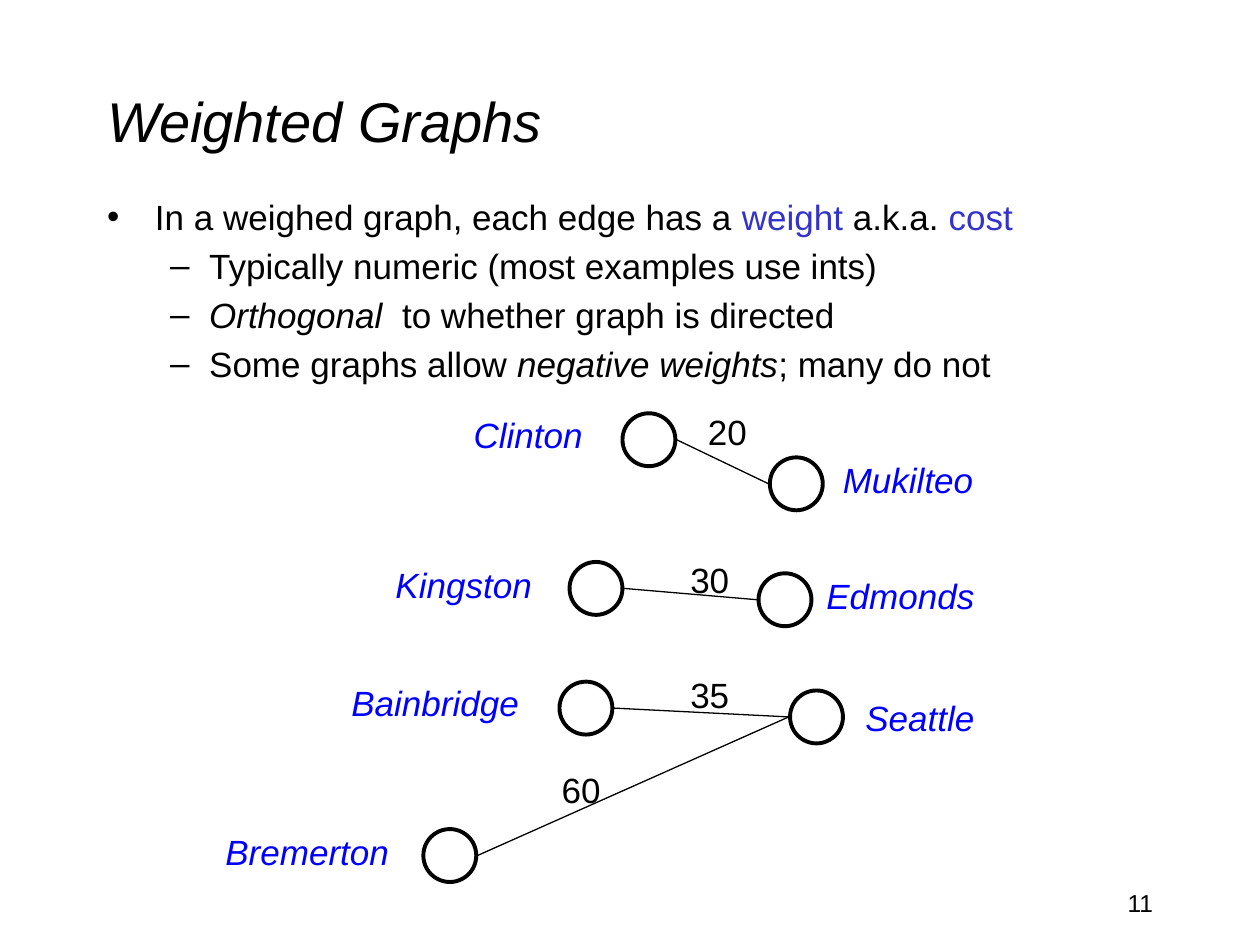
"""Build the Weighted Graphs slide with its ferry-route graph."""
import pptx
import pptx.dml.color
import pptx.enum.shapes
import pptx.enum.text
import pptx.oxml
import pptx.oxml.ns
import pptx.util
from lxml import etree

Inches = pptx.util.Inches
RGBColor = pptx.dml.color.RGBColor
ALIGN = pptx.enum.text.PP_ALIGN
ANCHOR = pptx.enum.text.MSO_ANCHOR

BLACK = RGBColor(0x00, 0x00, 0x00)
WHITE = RGBColor(0xFF, 0xFF, 0xFF)
INDIGO = RGBColor(0x33, 0x33, 0xCC)
BLUE = RGBColor(0x00, 0x00, 0xFF)

NODE_SIZE = 0.42
EDGE_GAP = 0.01
LABEL_HEIGHT = 0.44

TITLE = [("Weighted Graphs", {"italic": True})]
POINTS = [
    (0, [("In a weighed graph, each edge has a ", {}), ("weight", {"color": INDIGO}),
         (" a.k.a. ", {}), ("cost", {"color": INDIGO})]),
    (1, [("Typically numeric (most examples use ints)", {})]),
    (1, [("Orthogonal", {"italic": True}), ("  to whether graph is directed", {})]),
    (1, [("Some graphs allow ", {}), ("negative weights", {"italic": True}),
         ("; many do not", {})]),
]
BULLETS = [("•", 0.38, -0.38), ("–", 0.81, -0.31)]

TOWNS = {
    "Seattle": ((6.27, 5.48), (6.77, 5.48, 1.07)),
    "Edmonds": ((6.02, 4.55), (6.46, 4.51, 1.39)),
    "Mukilteo": ((6.11, 3.63), (6.59, 3.59, 1.25)),
    "Bainbridge": ((4.44, 5.41), (2.69, 5.36, 1.54)),
    "Kingston": ((4.52, 4.46), (3.04, 4.42, 1.29)),
    "Clinton": ((4.94, 3.28), (3.66, 3.23, 1.08)),
    "Bremerton": ((3.36, 6.58), (1.69, 6.54, 1.51)),
}
ROUTES = [
    ("Clinton", "Mukilteo", "20", (5.52, 3.21)),
    ("Kingston", "Edmonds", "30", (5.38, 4.38)),
    ("Bainbridge", "Seattle", "35", (5.38, 5.30)),
    ("Bremerton", "Seattle", "60", (4.36, 6.05)),
]


class GraphSlide:
    """Hold the text style and the slide being drawn."""

    def __init__(self, slide, font="Arial", size=20):
        self.slide = slide
        self.style = {"name": font, "size": pptx.util.Pt(size), "bold": False,
                      "italic": False}

    def add_runs(self, paragraph, runs, **changes):
        for words, emphasis in runs:
            run = paragraph.add_run()
            run.text = words
            values = {**self.style, "color": BLACK, **changes, **emphasis}
            run.font.color.rgb = values.pop("color")
            for attribute, value in values.items():
                setattr(run.font, attribute, value)

    def place(self, holder, left, top, width, height):
        bounds = {"left": left, "top": top, "width": width, "height": height}
        for side, length in bounds.items():
            setattr(holder, side, Inches(length))

    def title(self, runs, *bounds):
        heading = self.slide.shapes.title
        self.place(heading, *bounds)
        heading.text_frame.vertical_anchor = ANCHOR.MIDDLE
        paragraph = heading.text_frame.paragraphs[0]
        paragraph.alignment = ALIGN.LEFT
        self.add_runs(paragraph, runs, size=pptx.util.Pt(32))

    def points(self, items, *bounds):
        body = self.slide.placeholders[1]
        self.place(body, *bounds)
        for index, (level, runs) in enumerate(items):
            frame = body.text_frame
            paragraph = frame.add_paragraph() if index else frame.paragraphs[0]
            paragraph.level = level
            mark, margin, indent = BULLETS[level]
            properties = paragraph._p.get_or_add_pPr()
            properties.set("marL", str(Inches(margin)))
            properties.set("indent", str(Inches(indent)))
            bullet = etree.SubElement(properties, pptx.oxml.ns.qn("a:buChar"))
            bullet.set("char", mark)
            self.add_runs(paragraph, runs)

    def label(self, words, left, top, width, height=LABEL_HEIGHT, align=ALIGN.LEFT,
              wrap=False, **changes):
        box = self.slide.shapes.add_textbox(*map(Inches, (left, top, width, height)))
        box.text_frame.word_wrap = wrap
        paragraph = box.text_frame.paragraphs[0]
        paragraph.alignment = align
        self.add_runs(paragraph, [(words, {})], **changes)

    def outline(self, line, weight):
        line.color.rgb = BLACK
        line.width = pptx.util.Pt(weight)

    def node(self, left, top):
        circle = self.slide.shapes.add_shape(
            pptx.enum.shapes.MSO_SHAPE.OVAL,
            *map(Inches, (left, top, NODE_SIZE, NODE_SIZE)))
        circle.shadow.inherit = False
        circle.fill.solid()
        circle.fill.fore_color.rgb = WHITE
        self.outline(circle.line, 2.25)

    def edge(self, west, east):
        radius = NODE_SIZE / 2
        ends = (west[0] + NODE_SIZE + EDGE_GAP, west[1] + radius,
                east[0] - EDGE_GAP, east[1] + radius)
        route = self.slide.shapes.add_connector(
            pptx.enum.shapes.MSO_CONNECTOR.STRAIGHT, *map(Inches, ends))
        self.outline(route.line, 0.75)
        etree.SubElement(route._element.spPr, pptx.oxml.ns.qn("a:effectLst"))


def main():
    deck = pptx.Presentation()
    deck.slide_width, deck.slide_height = Inches(10), Inches(7.5)
    graph = GraphSlide(deck.slides.add_slide(deck.slide_layouts[1]))
    graph.title(TITLE, 0.75, 0.33, 8.5, 1.25)
    graph.points(POINTS, 0.75, 1.5, 8.5, 1.75)
    graph.label("11", 7.17, 7, 2.08, 0.5, align=ALIGN.RIGHT, wrap=True,
                size=pptx.util.Pt(14))
    for position, _ in TOWNS.values():
        graph.node(*position)
    for west, east, _, _ in ROUTES:
        graph.edge(TOWNS[west][0], TOWNS[east][0])
    for _, _, weight, position in ROUTES:
        graph.label(weight, *position, 0.51)
    for town, (_, bounds) in TOWNS.items():
        graph.label(town, *bounds, color=BLUE, italic=True)
    deck.save("out.pptx")


if __name__ == "__main__":
    main()
